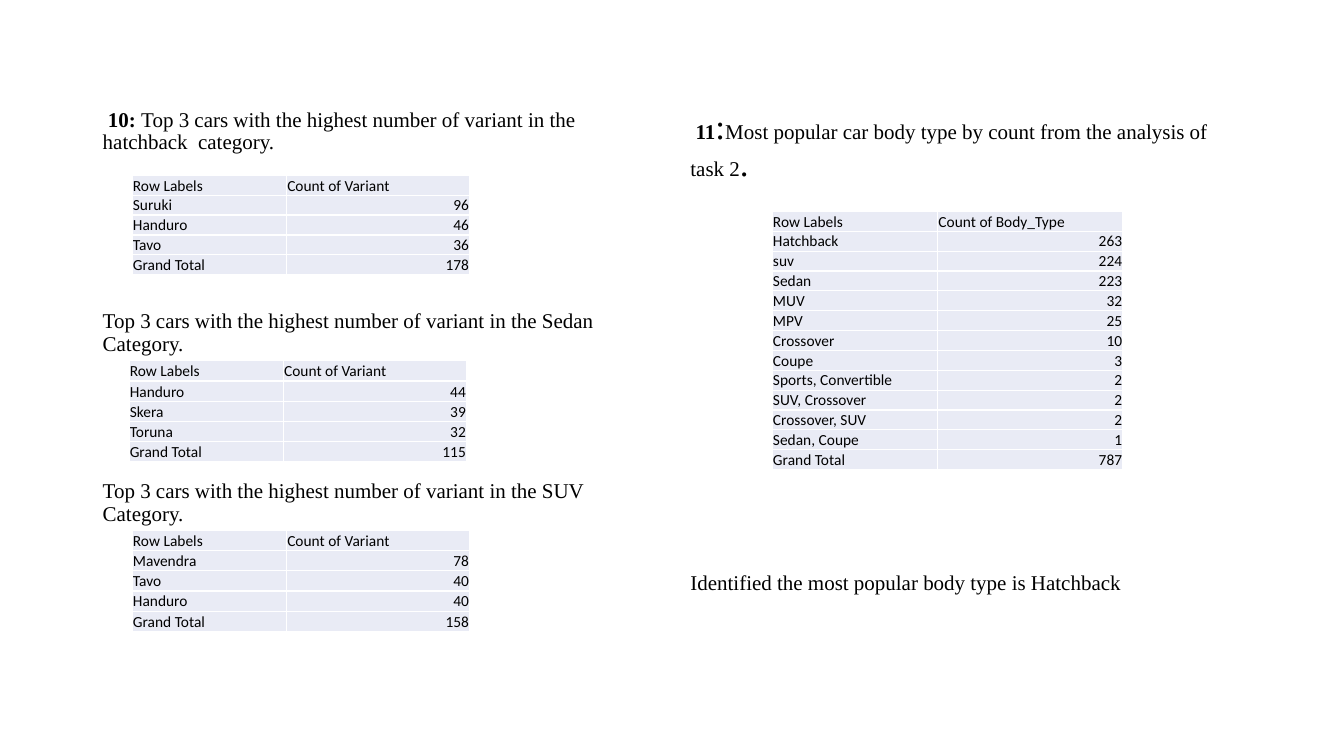
import lxml.etree
import pptx
import pptx.dml.color
import pptx.enum.text
import pptx.oxml.ns
import pptx.util

Cm = pptx.util.Cm
COLORS = {"text": "000000", "cell": "E9EBF5", "border": "FFFFFF"}
HEADING_FONT, TABLE_FONT = "Times New Roman", "Calibri"

VARIANT_TABLES = [
    # left and top within the region, row height, rows
    (0.99, 1.8, 0.5, [("Suruki", 96), ("Handuro", 46), ("Tavo", 36), ("Grand Total", 178)]),
    (0.91, 6.47, 0.51, [("Handuro", 44), ("Skera", 39), ("Toruna", 32), ("Grand Total", 115)]),
    (0.99, 10.74, 0.51, [("Mavendra", 78), ("Tavo", 40), ("Handuro", 40), ("Grand Total", 158)]),
]
BODY_TYPES = [
    ("Hatchback", 263), ("suv", 224), ("Sedan", 223), ("MUV", 32), ("MPV", 25),
    ("Crossover", 10), ("Coupe", 3), ("Sports, Convertible", 2),
    ("SUV, Crossover", 2), ("Crossover, SUV", 2), ("Sedan, Coupe", 1),
    ("Grand Total", 787),
]


def add_span(para, text, size=15, font=HEADING_FONT, bold=False, color="text"):
    span = para.add_run()
    span.text = text
    span.font.size = pptx.util.Pt(size)
    span.font.name = font
    span.font.bold = bold
    span.font.color.rgb = pptx.dml.color.RGBColor.from_string(COLORS[color])


def add_headings(page, box, headings):
    """Each heading is its space before in points and a list of (text, format)."""
    frame = page.shapes.add_textbox(*(Cm(length) for length in box)).text_frame
    frame.word_wrap = True
    for index, (space, spans) in enumerate(headings):
        para = frame.add_paragraph() if index else frame.paragraphs[0]
        para.line_spacing = 0.9
        para.space_before = pptx.util.Pt(space)
        for text, style in spans:
            add_span(para, text, **style)


def add_borders(cell):
    properties = cell._tc.get_or_add_tcPr()
    for index, side in enumerate(("lnL", "lnR", "lnT", "lnB")):
        line = lxml.etree.Element(pptx.oxml.ns.qn(f"a:{side}"), w="12700")
        fill = lxml.etree.SubElement(line, pptx.oxml.ns.qn("a:solidFill"))
        lxml.etree.SubElement(fill, pptx.oxml.ns.qn("a:srgbClr"), val=COLORS["border"])
        properties.insert(index, line)


def add_count_table(page, left, top, widths, row_height, header, rows):
    cells = [("Row Labels", header), *rows]
    table = page.shapes.add_table(
        len(cells), len(widths), Cm(left), Cm(top),
        Cm(sum(widths)), Cm(row_height * len(cells))).table
    table.first_row = table.horz_banding = False
    for column, width in zip(table.columns, widths):
        column.width = Cm(width)
    for row_index, values in enumerate(cells):
        table.rows[row_index].height = Cm(row_height)
        for column_index, value in enumerate(values):
            cell = table.cell(row_index, column_index)
            cell.margin_left = cell.margin_right = cell.margin_top = Cm(0.02)
            cell.margin_bottom = 0
            cell.vertical_anchor = pptx.enum.text.MSO_ANCHOR.BOTTOM
            cell.fill.solid()
            cell.fill.fore_color.rgb = pptx.dml.color.RGBColor.from_string(COLORS["cell"])
            add_borders(cell)
            para = cell.text_frame.paragraphs[0]
            if isinstance(value, int):
                para.alignment = pptx.enum.text.PP_ALIGN.RIGHT
            add_span(para, str(value), size=11, font=TABLE_FONT)


def add_variant_region(page, box):
    left, top = box[:2]
    question = "Top 3 cars with the highest number of variant in the "
    # The spaces leave room for a table and end each heading above the next one
    add_headings(page, box, [
        (10, [(" 10: ", {"bold": True}), (question + "hatchback  category.", {})]),
        (111.5, [(question + "Sedan Category.", {})]),
        (89, [(question + "SUV Category.", {})]),
    ])
    for across, down, row_height, rows in VARIANT_TABLES:
        add_count_table(page, left + across, top + down, (3.89, 4.62),
                        row_height, "Count of Variant", rows)


def add_body_type_region(page, box):
    left, top = box[:2]
    add_headings(page, box, [
        (10, [(" 11", {"bold": True}), (":", {"size": 25}),
              ("Most popular car body type by count from the analysis of task 2", {}),
              (".", {"size": 25})]),
        (277, [("Identified the most popular body type is Hatchback", {})]),
    ])
    add_count_table(page, left + 2.31, top + 2.71, (4.17, 4.67),
                    0.5, "Count of Body_Type", BODY_TYPES)


def main():
    deck = pptx.Presentation()
    deck.slide_width, deck.slide_height = Cm(33.87), Cm(19.05)
    page = deck.slides.add_slide(deck.slide_layouts[6])
    # Variant counts on the left, body types on the right
    add_variant_region(page, (2.34, 2.62, 14.4, 14.53))
    add_body_type_region(page, (17.15, 2.62, 14.4, 14.53))
    deck.save("out.pptx")


if __name__ == "__main__":
    main()
